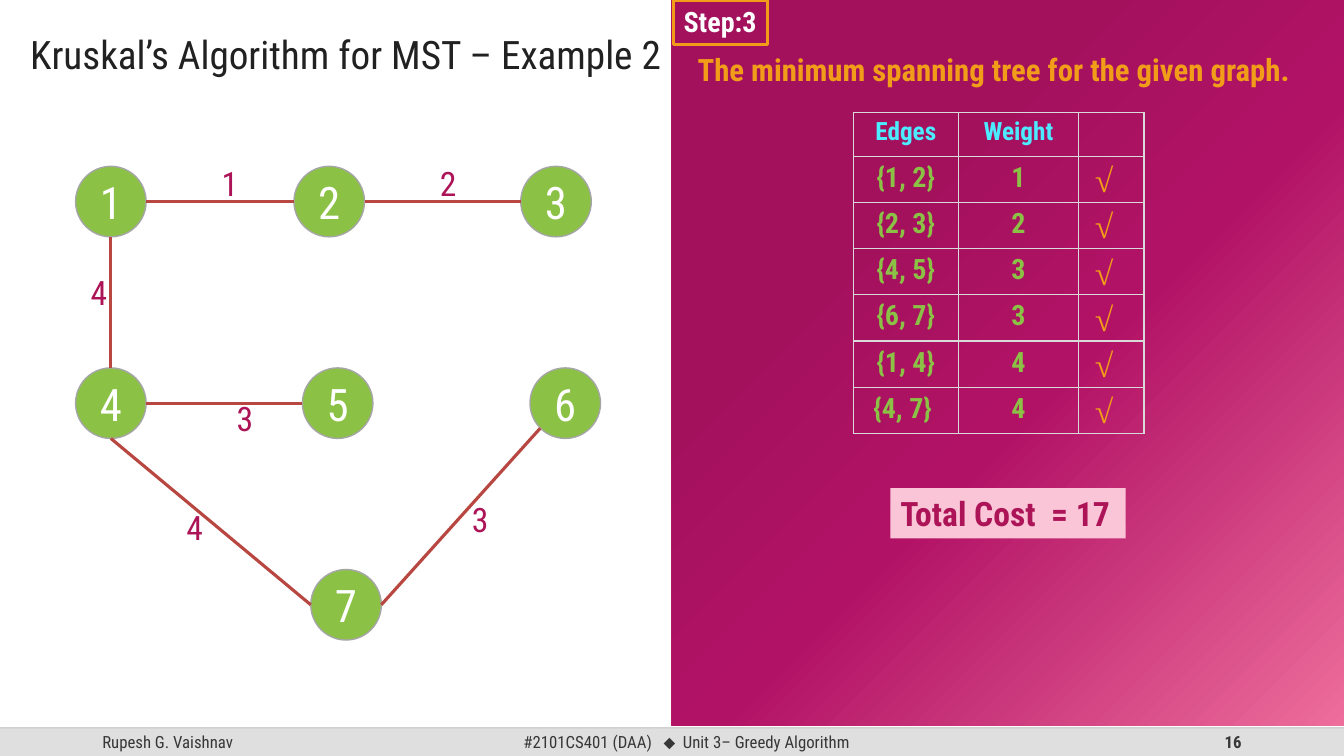
from lxml.etree import SubElement
from pptx import Presentation
from pptx.dml.color import RGBColor
from pptx.enum.shapes import MSO_CONNECTOR, MSO_SHAPE
from pptx.enum.text import MSO_ANCHOR, MSO_AUTO_SIZE, PP_ALIGN
from pptx.oxml import parse_xml
from pptx.oxml.ns import nsdecls, qn
from pptx.util import Emu, Inches, Pt

WHITE = RGBColor(0xFF, 0xFF, 0xFF)
INK = RGBColor(0x21, 0x21, 0x21)
FOOTER_INK = RGBColor(0x37, 0x37, 0x37)
FOOTER_FILL = RGBColor(0xDF, 0xDF, 0xDF)
FOOTER_RULE = RGBColor(0xBF, 0xBF, 0xBF)
GREEN = RGBColor(0x8B, 0xC1, 0x45)
NODE_LINE = RGBColor(0xA6, 0xA6, 0xA6)
EDGE_RED = RGBColor(0xB8, 0x47, 0x42)
MAGENTA = RGBColor(0xAD, 0x14, 0x57)
ORANGE = RGBColor(0xF1, 0x9D, 0x19)
CYAN = RGBColor(0x4C, 0xEB, 0xFF)
PINK = RGBColor(0xF9, 0xC5, 0xD7)
GRID_LINE = RGBColor(0xD9, 0xD9, 0xD9)
PANEL_STOPS = [(30, RGBColor(0xA3, 0x11, 0x5D)), (55, RGBColor(0xB2, 0x12, 0x66)),
               (100, RGBColor(0xED, 0x6D, 0x9B))]

FONT = "Roboto Condensed"
LEFT, CENTER, RIGHT = PP_ALIGN.LEFT, PP_ALIGN.CENTER, PP_ALIGN.RIGHT
TOP, MIDDLE = MSO_ANCHOR.TOP, MSO_ANCHOR.MIDDLE

# The slide is a grid of 160 columns by 90 rows of square units
COLS, ROWS = 160, 90
SLIDE_W, SLIDE_H = Inches(40 / 3), Inches(7.5)
UNIT = SLIDE_H / ROWS
RADIUS = 4.2
FOOTER_TOP = 86.64

# Graph: node centres, and edges as (node, side, node, side, weight, label corner)
NODES = {"1": (13.2, 24), "2": (39.2, 24), "3": (66.2, 24),
         "4": (13.2, 48), "5": (40.2, 48), "6": (67.3, 48), "7": (41.2, 72)}
SIDES = {"top": (0, -1), "bottom": (0, 1), "left": (-1, 0), "right": (1, 0),
         "bottom left": (-0.71, 0.71)}
EDGES = [("1", "right", "2", "left", "1", (25.2, 18.8)),
         ("2", "right", "3", "left", "2", (51.2, 18.8)),
         ("4", "right", "5", "left", "3", (27, 46.8)),
         ("1", "bottom", "4", "top", "4", (9.6, 31.8)),
         ("6", "bottom left", "7", "right", "3", (55, 58.8)),
         ("4", "bottom", "7", "left", "4", (21, 59.8))]
CHOSEN = [("{1, 2}", "1"), ("{2, 3}", "2"), ("{4, 5}", "3"),
          ("{6, 7}", "3"), ("{1, 4}", "4"), ("{4, 7} ", "4")]
TABLE_LEFT, TABLE_TOP = 101.6, 13.4
TABLE_COLS, HEADER_H, ROW_H = (12.5, 14.3, 7.8), 5.2, 5.5


def units(*values):
    return [Emu(round(v * UNIT)) for v in values]


def write(tf, text, size, color, bold=False, align=LEFT, anchor=TOP):
    tf.text = text
    tf.vertical_anchor = anchor
    p = tf.paragraphs[0]
    p.alignment = align
    for r in p.runs:
        r.font.name, r.font.size, r.font.bold = FONT, Pt(size), bold
        r.font.color.rgb = color
    return p


def add_text(s, box, text, size, color, **style):
    sp = s.shapes.add_textbox(*units(*box))
    sp.text_frame.word_wrap = True
    return sp, write(sp.text_frame, text, size, color, **style)


def add_shape(s, kind, box, fill=None, line=None, line_width=1):
    sp = s.shapes.add_shape(kind, *units(*box))
    sp.shadow.inherit = False
    for part, color in ((sp.fill, fill), (sp.line.fill, line)):
        if color is None:
            part.background()
        else:
            part.solid()
            part.fore_color.rgb = color
    if line is not None:
        sp.line.width = Pt(line_width)
    return sp


def add_tag(s, box, text, size, color, **look):
    sp = add_shape(s, MSO_SHAPE.RECTANGLE, box, **look)
    write(sp.text_frame, text, size, color, bold=True)
    sp.text_frame.word_wrap = False
    sp.text_frame.auto_size = MSO_AUTO_SIZE.SHAPE_TO_FIT_TEXT


def add_line(s, start, end, color, width):
    line = s.shapes.add_connector(MSO_CONNECTOR.STRAIGHT, *units(*start, *end))
    line.line.color.rgb = color
    line.line.width = Pt(width)
    SubElement(line._element.spPr, qn("a:effectLst"))
    return line


def add_footer(s):
    height = ROWS - FOOTER_TOP
    add_shape(s, MSO_SHAPE.RECTANGLE, (0, FOOTER_TOP, COLS, height), FOOTER_FILL)
    for left, width, text, align, bold in (
            (11, 36, "Rupesh G. Vaishnav", LEFT, False),
            (53, 57.5, "#2101CS401 (DAA)   ⬥  Unit 3– Greedy Algorithm", CENTER, False),
            (113, 36, "16", RIGHT, True)):
        add_text(s, (left, FOOTER_TOP, width, height), text, 12, FOOTER_INK,
                 bold=bold, align=align, anchor=MIDDLE)
    rule = add_line(s, (0, FOOTER_TOP), (COLS, FOOTER_TOP), FOOTER_RULE, 1)
    color = rule._element.spPr.find(".//" + qn("a:srgbClr"))
    SubElement(color, qn("a:alpha"), val="70000")


def add_panel(s):
    sp = add_shape(s, MSO_SHAPE.RECTANGLE, (COLS / 2, 0, COLS / 2, 86.4))
    stops = "".join(f'<a:gs pos="{pos * 1000}"><a:srgbClr val="{color}"/></a:gs>'
                    for pos, color in PANEL_STOPS)
    gradient = parse_xml(
        f'<a:gradFill {nsdecls("a")} rotWithShape="1"><a:gsLst>{stops}</a:gsLst>'
        '<a:path path="circle"><a:fillToRect r="100000" b="100000"/></a:path></a:gradFill>')
    spPr = sp._element.spPr
    spPr.replace(spPr.find(qn("a:noFill")), gradient)


def add_node(s, name):
    x, y = NODES[name]
    sp = add_shape(s, MSO_SHAPE.OVAL, (x - RADIUS, y - RADIUS, 2 * RADIUS, 2 * RADIUS),
                   GREEN, NODE_LINE)
    write(sp.text_frame, name, 32, WHITE, align=CENTER, anchor=MIDDLE)


def rim(name, side):
    return [c + RADIUS * d for c, d in zip(NODES[name], SIDES[side])]


def add_edge(s, start, start_side, end, end_side, weight, label):
    add_line(s, rim(start, start_side), rim(end, end_side), EDGE_RED, 2.25)
    add_text(s, (*label, 4.8, 6), weight, 24, MAGENTA)


def set_borders(cell):
    tcPr = cell._tc.get_or_add_tcPr()
    for i, side in enumerate(("lnL", "lnR", "lnT", "lnB")):
        tcPr.insert(i, parse_xml(
            f'<a:{side} {nsdecls("a")} w="12700"><a:solidFill>'
            f'<a:srgbClr val="{GRID_LINE}"/></a:solidFill></a:{side}>'))


def add_edge_table(s):
    rows = [("Edges", "Weight")] + CHOSEN
    heights = [HEADER_H] + [ROW_H] * len(CHOSEN)
    frame = s.shapes.add_table(len(rows), len(TABLE_COLS), *units(
        TABLE_LEFT, TABLE_TOP, sum(TABLE_COLS), sum(heights)))
    table = frame.table
    table.first_row = table.horz_banding = False
    for column, width in zip(table.columns, units(*TABLE_COLS)):
        column.width = width
    for i, height in enumerate(units(*heights)):
        table.rows[i].height = height
        for cell in table.rows[i].cells:
            cell.fill.background()
            set_borders(cell)
        size, color = (20, GREEN) if i else (18, CYAN)
        for j, text in enumerate(rows[i]):
            write(table.cell(i, j).text_frame, text, size, color, bold=True, align=CENTER)


def add_ticks(s):
    for i in range(len(CHOSEN)):
        top = TABLE_TOP + HEADER_H + i * ROW_H
        sp, p = add_text(s, (128.9, top, 6, ROW_H), "√ ", 24, ORANGE,
                         bold=True, align=CENTER, anchor=MIDDLE)
        p.runs[0].font.name = "Times New Roman"
        p.runs[0].font.italic = True


def main():
    prs = Presentation()
    prs.slide_width, prs.slide_height = SLIDE_W, SLIDE_H
    s = prs.slides.add_slide(prs.slide_layouts[6])

    # Background and title
    add_footer(s)
    add_panel(s)
    title, p = add_text(s, (0, 0.1, 81.6, 9.7), "Kruskal’s Algorithm for MST – Example 2",
                        28, INK, anchor=MIDDLE)
    title.text_frame.margin_left = Inches(0.3)
    p.line_spacing = 1.5

    # Spanning tree
    for name in NODES:
        add_node(s, name)
    for edge in EDGES:
        add_edge(s, *edge)

    # Step, chosen edges and their cost
    add_tag(s, (80.2, 0, 11.2, 5.3), "Step:3", 20, WHITE, line=ORANGE, line_width=2.25)
    add_text(s, (80, 5.5, 76.6, 5.6), "The minimum spanning tree for the given graph.",
             22, ORANGE, bold=True, align=CENTER)
    add_edge_table(s)
    add_ticks(s)
    add_tag(s, (106, 58.1, 28, 6), "Total Cost  = 17", 24, MAGENTA, fill=PINK)

    prs.save("out.pptx")


if __name__ == "__main__":
    main()
